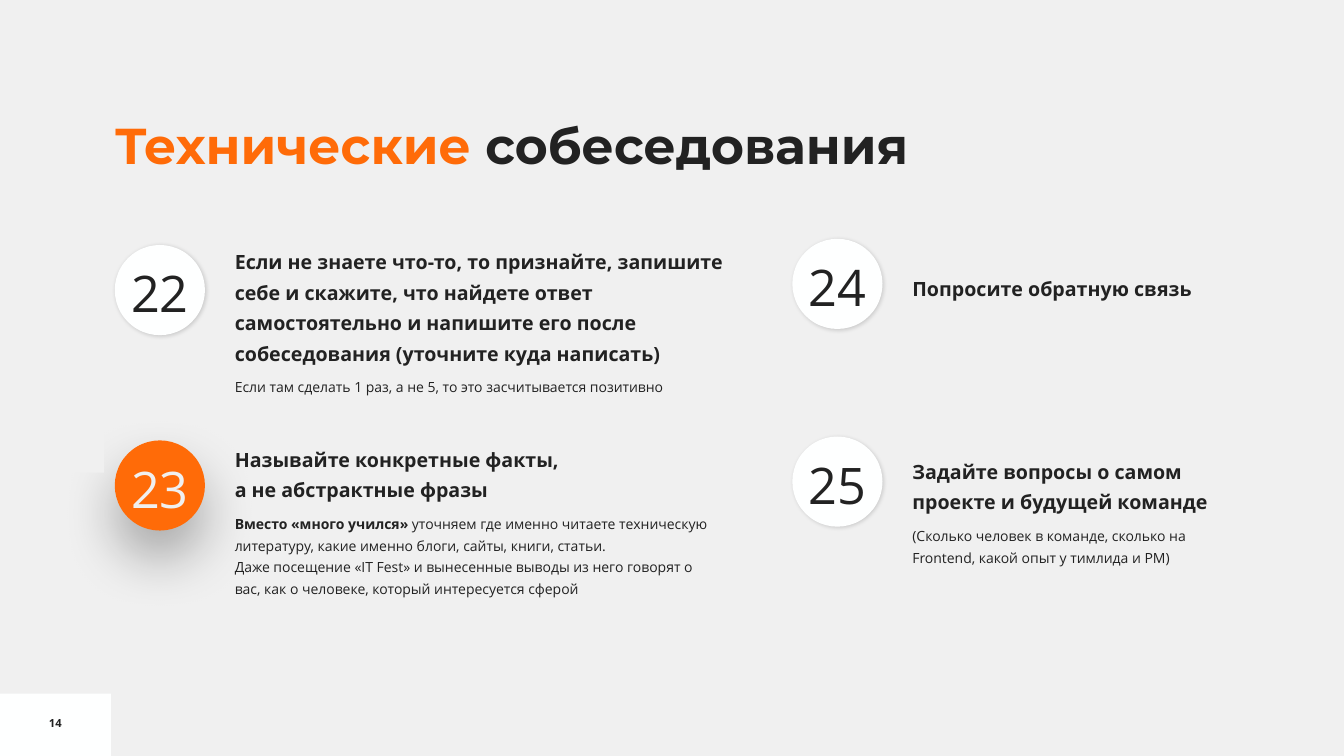
"""Build the slide with four numbered tips for technical interviews."""
from lxml.etree import SubElement
from pptx import Presentation
from pptx.dml.color import RGBColor
from pptx.enum.shapes import MSO_SHAPE
from pptx.enum.text import MSO_ANCHOR, MSO_AUTO_SIZE, PP_ALIGN
from pptx.oxml.ns import qn
from pptx.util import Pt

TITLE = [("Технические ", "accent"), ("собеседования", "ink")]
PAGE_NUMBER = "14"
TIPS = [
    {"number": "22", "column": 0, "badge_top": 175, "text_top": 170.6, "size": (367, 114),
     "heading": "Если не знаете что-то, то признайте, запишите себе и скажите, "
                "что найдете ответ самостоятельно и напишите его после "
                "собеседования (уточните куда написать)",
     "note": [("Если там сделать 1 раз, а не 5, то это засчитывается позитивно", False)]},
    {"number": "24", "column": 1, "badge_top": 170.6, "text_top": 190, "size": (305, 25),
     "heading": "Попросите обратную связь", "note": []},
    {"number": "23", "column": 0, "badge_top": 314.6, "text_top": 311.8, "size": (361, 115),
     "active": True,
     "heading": "Называйте конкретные факты,\nа не абстрактные фразы",
     "note": [("Вместо «много учился» ", True),
              ("уточняем где именно читаете техническую литературу, какие именно "
               "блоги, сайты, книги, статьи.\nДаже посещение «IT Fest» и вынесенные "
               "выводы из него говорят о вас, как о человеке, который интересуется "
               "сферой", False)]},
    {"number": "25", "column": 1, "badge_top": 311.8, "text_top": 320.4, "size": (259, 87),
     "heading": "Задайте вопросы о самом проекте и будущей команде",
     "note": [("(Cколько человек в команде, сколько на Frontend, "
               "какой опыт у тимлида и PM)", False)]},
]

THEME = {
    "color": {"paper": "F0F0F0", "white": "FEFFFF", "ink": "222222",
              "accent": "FF6B08", "shadow": "000000"},
    "size": {"title": 36, "number": 36, "heading": 14, "note": 10, "page": 8},
    "font": {"title": "Montserrat", "body": "Open Sans"},
    "shadow": {"soft": {"alpha": 15, "blur": 3, "distance": 1, "angle": 45},
               "deep": {"alpha": 30, "blur": 40, "distance": 20, "angle": 90}},
}
SLIDE_SIZE = (960, 540)
COLUMNS = (82, 566)
BADGE = 64.4
TEXT_OFFSET = 85.7
TEXT_INSETS = (0, 2.9, 17.3, 2.9)


def color(name):
    return RGBColor.from_string(THEME["color"][name])


def set_all(target, values):
    for name, value in values.items():
        setattr(target, name, value)


def set_frame(shape, insets, **values):
    sides = ("margin_left", "margin_top", "margin_right", "margin_bottom")
    set_all(shape.text_frame, {"word_wrap": True, **values,
                               **{side: Pt(inset) for side, inset in zip(sides, insets)}})
    return shape.text_frame


def add_text(para, text, role, tint="ink", bold=False):
    for index, line in enumerate(text.split("\n")):
        if index:
            para.add_line_break()
        span = para.add_run()
        span.text = line
        family = THEME["font"]["title" if role == "title" else "body"]
        set_all(span.font, {"name": family, "size": Pt(THEME["size"][role]), "bold": bold})
        span.font.color.rgb = color(tint)


def add_plain(shapes, preset, bounds, fill):
    shape = shapes.add_shape(preset, *map(Pt, bounds))
    shape.shadow.inherit = False
    shape.fill.solid()
    shape.fill.fore_color.rgb = color(fill)
    shape.line.fill.background()
    return shape


def add_shadow(shape, alpha, blur, distance, angle):
    effects = shape._element.spPr.find(qn("a:effectLst"))
    shadow = SubElement(effects, qn("a:outerShdw"), blurRad=str(Pt(blur)),
                        dist=str(Pt(distance)), dir=str(angle * 60000),
                        algn="ctr", rotWithShape="0")
    tint = SubElement(shadow, qn("a:srgbClr"), val=THEME["color"]["shadow"])
    SubElement(tint, qn("a:alpha"), val=str(alpha * 1000))


def add_tip(page, tip):
    group = page.shapes.add_group_shape()
    left = COLUMNS[tip["column"]]
    active = tip.get("active", False)

    box = group.shapes.add_textbox(
        *map(Pt, (left + TEXT_OFFSET, tip["text_top"], *tip["size"])))
    frame = set_frame(box, TEXT_INSETS, auto_size=MSO_AUTO_SIZE.SHAPE_TO_FIT_TEXT)
    heading = frame.paragraphs[0]
    heading.line_spacing = 1.3
    add_text(heading, tip["heading"], "heading", bold=True)
    if tip["note"]:
        note = frame.add_paragraph()
        set_all(note, {"line_spacing": 1.3, "space_before": Pt(6)})
        for text, bold in tip["note"]:
            add_text(note, text, "note", bold=bold)

    badge = add_plain(group.shapes, MSO_SHAPE.OVAL, (left, tip["badge_top"], BADGE, BADGE),
                      "accent" if active else "white")
    add_shadow(badge, **THEME["shadow"]["deep" if active else "soft"])
    frame = set_frame(badge, (0, 7.2, 0, 3.6), vertical_anchor=MSO_ANCHOR.MIDDLE)
    frame.paragraphs[0].alignment = PP_ALIGN.CENTER
    add_text(frame.paragraphs[0], tip["number"], "number", "paper" if active else "ink")


def main():
    deck = Presentation()
    deck.slide_width, deck.slide_height = map(Pt, SLIDE_SIZE)
    page = deck.slides.add_slide(deck.slide_layouts[6])
    page.background.fill.solid()
    page.background.fill.fore_color.rgb = color("paper")

    add_plain(page.shapes, MSO_SHAPE.RECTANGLE, (0, 495.4, 79.2, 44.6), "white")
    box = page.shapes.add_textbox(*map(Pt, (0, 501.8, 79.2, 28.8)))
    frame = set_frame(box, (7.2, 3.6, 7.2, 3.6), vertical_anchor=MSO_ANCHOR.MIDDLE)
    frame.paragraphs[0].alignment = PP_ALIGN.CENTER
    add_text(frame.paragraphs[0], PAGE_NUMBER, "page", bold=True)

    box = page.shapes.add_textbox(*map(Pt, (COLUMNS[0], 74.9, 720.7, 98.6)))
    title = set_frame(box, (0, 15.1, 0, 0)).paragraphs[0]
    title.line_spacing = 0.8
    for text, tint in TITLE:
        add_text(title, text, "title", tint, bold=True)

    for tip in TIPS:
        add_tip(page, tip)
    add_plain(page.shapes, MSO_SHAPE.RECTANGLE, (0, 213.8, 74.2, 123.8), "paper")
    deck.save("out.pptx")


if __name__ == "__main__":
    main()
